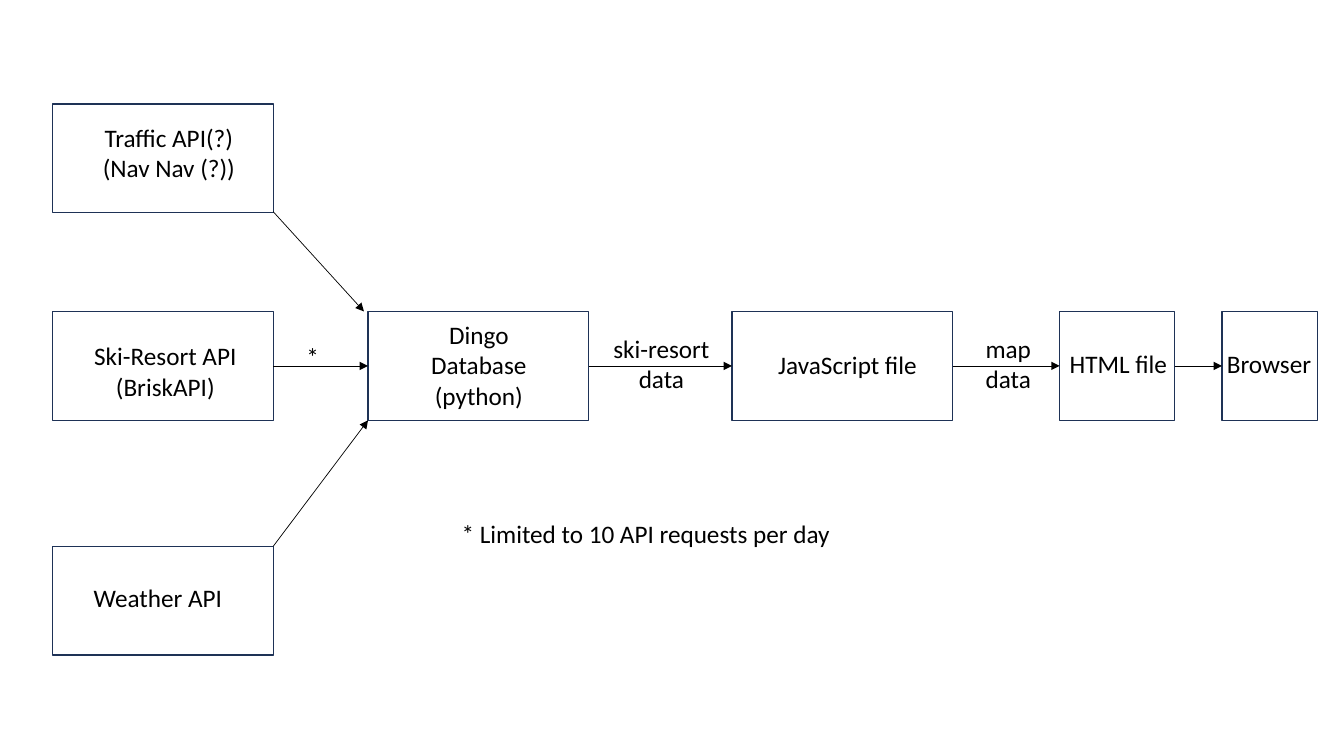
from lxml import etree
from pptx import Presentation
from pptx.dml.color import RGBColor
from pptx.enum import shapes, text
from pptx.oxml import ns
from pptx.util import Inches, Pt

NAVY = RGBColor(0x1E, 0x32, 0x56)
BLACK = RGBColor(0, 0, 0)

deck = Presentation()
deck.slide_width = Inches(13.33)
deck.slide_height = Inches(7.5)
slide = deck.slides.add_slide(deck.slide_layouts[6])

# Boxes: left, top, width
HIGH = 1.08
MID = 3.09
spots = {
    "traffic": (0.52, 1.03, 2.19),
    "ski": (0.52, MID, 2.19),
    "weather": (0.52, 5.42, 2.19),
    "data": (3.65, MID, 2.19),
    "script": (7.26, MID, 2.19),
    "html": (10.51, MID, 1.14),
    "browser": (12.12, MID, 0.95),
}
boxes = {}
for name, (left, top, wide) in spots.items():
    box = slide.shapes.add_shape(
        shapes.MSO_SHAPE.RECTANGLE,
        Inches(left), Inches(top), Inches(wide), Inches(HIGH))
    box.shadow.inherit = False
    box.fill.background()
    box.line.color.rgb = NAVY
    box.line.width = Pt(1)
    boxes[name] = box


def arrow(x1=0, y1=0, x2=0, y2=0):
    line = slide.shapes.add_connector(
        shapes.MSO_CONNECTOR.STRAIGHT,
        Inches(x1), Inches(y1), Inches(x2), Inches(y2))
    line.line.color.rgb = BLACK
    line.line.width = Pt(0.5)
    etree.SubElement(line.line._get_or_add_ln(), ns.qn("a:tailEnd"), type="triangle")
    etree.SubElement(line._element.spPr, ns.qn("a:effectLst"))
    return line


# Arrows along the middle row, side to side
row = ["ski", "data", "script", "html", "browser"]
for start, end in zip(row, row[1:]):
    link = arrow()
    link.begin_connect(boxes[start], 3)
    link.end_connect(boxes[end], 1)

# Arrows from the outer sources, corner to corner
arrow(2.71, 2.1, 3.61, MID)
arrow(2.71, 5.42, 3.65, 4.17)

# Labels: words, left, top, width, height, centred, wrapped
labels = [
    ("Traffic API(?)\n(Nav Nav (?))", 0.87, 1.16, 1.61, 0.71, True, False),
    ("Ski-Resort API\n(BriskAPI)", 0.83, 3.33, 1.62, 0.71, True, False),
    ("Weather API", 0.83, 5.73, 1.49, 0.4, False, False),
    ("Dingo Database (python)", 3.95, 3.12, 1.6, 1.01, True, True),
    ("JavaScript file", 7.62, 3.42, 1.59, 0.4, False, False),
    ("HTML file", 10.51, 3.41, 1.18, 0.4, False, False),
    ("Browser", 12.07, 3.41, 1.04, 0.4, False, False),
    ("ski-resort data", 5.94, 3.26, 1.24, 0.71, True, True),
    ("map data", 9.61, 3.26, 0.78, 0.71, True, True),
    ("*", 2.94, 3.34, 0.33, 0.4, False, False),
    ("* Limited to 10 API requests per day", 4.48, 5.09, 3.9, 0.4, False, False),
]
for words, left, top, wide, high, centred, wrap in labels:
    label = slide.shapes.add_textbox(
        Inches(left), Inches(top), Inches(wide), Inches(high))
    frame = label.text_frame
    frame.word_wrap = wrap
    frame.auto_size = text.MSO_AUTO_SIZE.SHAPE_TO_FIT_TEXT
    frame.text = words
    for para in frame.paragraphs:
        para.alignment = text.PP_ALIGN.CENTER if centred else text.PP_ALIGN.LEFT
        for run in para.runs:
            run.font.name = "Calibri"
            run.font.size = Pt(18)
            run.font.color.rgb = BLACK

deck.save("out.pptx")
